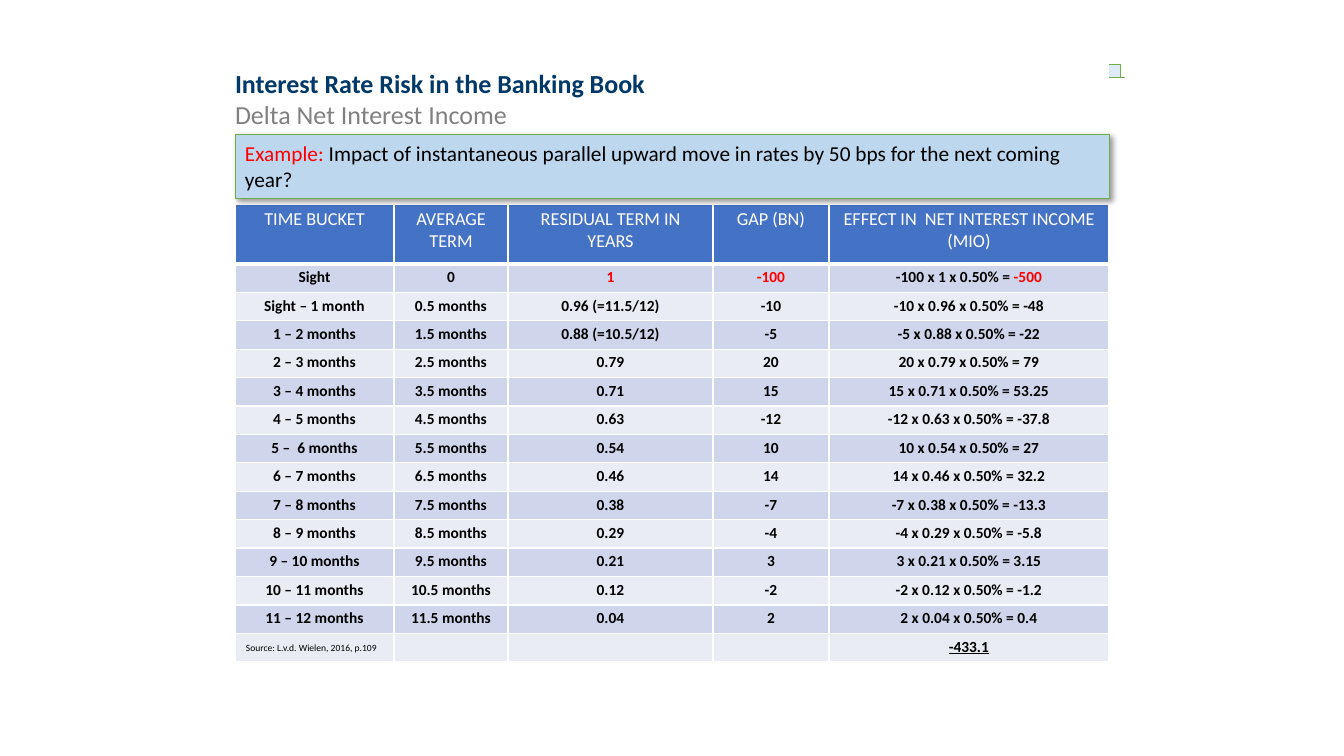
from lxml import etree
from pptx import Presentation
from pptx.dml.color import RGBColor
from pptx.enum.shapes import MSO_CONNECTOR, MSO_SHAPE
from pptx.enum.text import MSO_ANCHOR, PP_ALIGN
from pptx.oxml import parse_xml
from pptx.oxml.ns import nsdecls, qn
from pptx.util import Pt

RECTANGLE = MSO_SHAPE.RECTANGLE
STRAIGHT = MSO_CONNECTOR.STRAIGHT
LEFT, CENTER = PP_ALIGN.LEFT, PP_ALIGN.CENTER
MIDDLE, BOTTOM = MSO_ANCHOR.MIDDLE, MSO_ANCHOR.BOTTOM

PX = 914400 / 100.8
FONT = "Calibri"
WHITE = RGBColor(0xFF, 0xFF, 0xFF)
BLACK = RGBColor(0, 0, 0)
RED = RGBColor(0xFF, 0, 0)
NAVY = RGBColor(0, 0x38, 0x68)
GRAY = RGBColor(0x80, 0x80, 0x80)
GREEN = RGBColor(0x70, 0xAD, 0x47)
PALE_BLUE = RGBColor(0xDE, 0xEB, 0xF7)
LIGHT_BLUE = RGBColor(0xBD, 0xD7, 0xEE)
HEADER_BLUE = RGBColor(0x44, 0x72, 0xC4)
BANDS = (RGBColor(0xCF, 0xD5, 0xEA), RGBColor(0xE9, 0xEB, 0xF5))

CONTENT_LEFT, CONTENT_WIDTH = 235, 874
COLUMN_WIDTHS = (159, 114, 205, 116, 280)
HEADER_HEIGHT, BODY_HEIGHT = 60, 398
HEADINGS = (
    "TIME BUCKET", "AVERAGE TERM", "RESIDUAL TERM IN YEARS", "GAP (BN)",
    "EFFECT IN  NET INTEREST INCOME (MIO)",
)
BUCKETS = (
    ("Sight", "0", "1", "-100", "-500"),
    ("Sight – 1 month", "0.5 months", "0.96 (=11.5/12)", "-10", "-48"),
    ("1 – 2 months", "1.5 months", "0.88 (=10.5/12)", "-5", "-22"),
    ("2 – 3 months", "2.5 months", "0.79", "20", "79"),
    ("3 – 4 months", "3.5 months", "0.71", "15", "53.25"),
    ("4 – 5 months", "4.5 months", "0.63", "-12", "-37.8"),
    ("5 –  6 months", "5.5 months", "0.54", "10", "27"),
    ("6 – 7 months", "6.5 months", "0.46", "14", "32.2"),
    ("7 – 8 months", "7.5 months", "0.38", "-7", "-13.3"),
    ("8 – 9 months", "8.5 months", "0.29", "-4", "-5.8"),
    ("9 – 10 months", "9.5 months", "0.21", "3", "3.15"),
    ("10 – 11 months", "10.5 months", "0.12", "-2", "-1.2"),
    ("11 – 12 months", "11.5 months", "0.04", "2", "0.4"),
)
TOTAL = "-433.1"


def px(length):
    return round(length * PX)


def add_run(paragraph, text, size, color, bold=False, underline=False):
    run = paragraph.add_run()
    run.text = text
    run.font.name = FONT
    run.font.size = Pt(size)
    run.font.bold = bold
    run.font.underline = underline
    run.font.color.rgb = color


def set_margins(holder, horizontal, vertical):
    holder.margin_left = holder.margin_right = px(horizontal)
    holder.margin_top = holder.margin_bottom = px(vertical)


def add_panel(slide, left, top, width, height, fill, line=None):
    panel = slide.shapes.add_shape(RECTANGLE, px(left), px(top), px(width), px(height))
    panel.shadow.inherit = False
    panel.fill.solid()
    panel.fill.fore_color.rgb = fill
    if line is None:
        panel.line.fill.background()
    else:
        panel.line.color.rgb = line
        panel.line.width = Pt(0.5)
    panel.text_frame.word_wrap = True
    return panel


def add_progress_marker(slide):
    add_panel(slide, 1029, 64, 91, 13, PALE_BLUE, GREEN)
    baseline = slide.shapes.add_connector(STRAIGHT, px(813), px(77), px(1125), px(77))
    baseline.line.color.rgb = GREEN
    baseline.line.width = Pt(0.5)
    etree.SubElement(baseline._element.spPr, qn("a:effectLst"))


def add_title(slide):
    title = add_panel(slide, CONTENT_LEFT, 63, CONTENT_WIDTH, 67, WHITE)
    frame = title.text_frame
    frame.vertical_anchor = BOTTOM
    set_margins(frame, 0, 0)
    heading, subheading = frame.paragraphs[0], frame.add_paragraph()
    heading.alignment = subheading.alignment = LEFT
    add_run(heading, "Interest Rate Risk in the Banking Book", 18.6, NAVY, bold=True)
    add_run(subheading, "Delta Net Interest Income", 18.6, GRAY)


def add_example(slide):
    example = add_panel(slide, CONTENT_LEFT, 134, CONTENT_WIDTH, 64, LIGHT_BLUE, GREEN)
    example._element.spPr.find(qn("a:effectLst")).append(parse_xml(
        f'<a:outerShdw {nsdecls("a")} blurRad="{Pt(4)}" dist="{Pt(3)}" dir="2700000" '
        'algn="tl" rotWithShape="0"><a:srgbClr val="000000"><a:alpha val="40000"/>'
        '</a:srgbClr></a:outerShdw>'))
    example.text_frame.vertical_anchor = MIDDLE
    question = example.text_frame.paragraphs[0]
    question.alignment = LEFT
    add_run(question, "Example: ", 15.2, RED)
    add_run(question, "Impact of instantaneous parallel upward move in rates "
            "by 50 bps for the next coming year?", 15.2, BLACK)


def style_cell(cell, fill, bottom_width=1):
    set_margins(cell, 8, 4)
    properties = cell._tc.get_or_add_tcPr()
    for side, width in (("L", 1), ("R", 1), ("T", 1), ("B", bottom_width)):
        border = etree.SubElement(properties, qn(f"a:ln{side}"), w=str(Pt(width)))
        border_fill = etree.SubElement(border, qn("a:solidFill"))
        etree.SubElement(border_fill, qn("a:srgbClr"), val=str(WHITE))
    cell.fill.solid()
    cell.fill.fore_color.rgb = fill
    paragraph = cell.text_frame.paragraphs[0]
    paragraph.alignment = CENTER
    return paragraph


def fill_bucket(paragraphs, bucket):
    name, term, residual, gap, effect = bucket
    is_sight = name == "Sight"
    accent = RED if is_sight else BLACK
    for paragraph, text, color in zip(paragraphs, bucket[:4], (BLACK, BLACK, accent, accent)):
        add_run(paragraph, text, 11, color, bold=True)
    formula = f"{gap} x {residual.split()[0]} x 0.50% = "
    if is_sight:
        add_run(paragraphs[4], formula, 11, BLACK, bold=True)
        add_run(paragraphs[4], effect, 11, RED, bold=True)
    else:
        add_run(paragraphs[4], formula + effect, 11, BLACK, bold=True)


def fill_total(paragraphs):
    for paragraph in paragraphs[:4]:
        etree.SubElement(paragraph._p, qn("a:endParaRPr"), sz="1100")
    add_run(paragraphs[4], TOTAL, 11, BLACK, bold=True, underline=True)


def add_gap_table(slide):
    body_count = len(BUCKETS) + 1
    table = slide.shapes.add_table(
        body_count + 1, len(HEADINGS), px(CONTENT_LEFT), px(204),
        px(CONTENT_WIDTH), px(HEADER_HEIGHT + BODY_HEIGHT)).table
    table.first_row = table.horz_banding = False
    for column, width in zip(table.columns, COLUMN_WIDTHS):
        column.width = px(width)
    header, *body = table.rows
    header.height = px(HEADER_HEIGHT)
    for cell, heading in zip(header.cells, HEADINGS):
        add_run(style_cell(cell, HEADER_BLUE, bottom_width=3), heading, 13, WHITE)
    for index, row in enumerate(body):
        row.height = px(BODY_HEIGHT) // body_count
        paragraphs = [style_cell(cell, BANDS[index % 2]) for cell in row.cells]
        if index < len(BUCKETS):
            fill_bucket(paragraphs, BUCKETS[index])
        else:
            fill_total(paragraphs)


def add_source(slide):
    source = slide.shapes.add_textbox(px(246), px(642), px(304), px(12))
    source.text_frame.word_wrap = True
    set_margins(source.text_frame, 0, 0)
    add_run(source.text_frame.paragraphs[0], "Source: L.v.d. Wielen, 2016, p.109", 6.8, BLACK)


def main():
    presentation = Presentation()
    presentation.slide_width = px(1344)
    presentation.slide_height = px(756)
    slide = presentation.slides.add_slide(presentation.slide_layouts[6])
    add_gap_table(slide)
    add_progress_marker(slide)
    add_source(slide)
    add_example(slide)
    add_title(slide)
    presentation.save("out.pptx")


if __name__ == "__main__":
    main()
